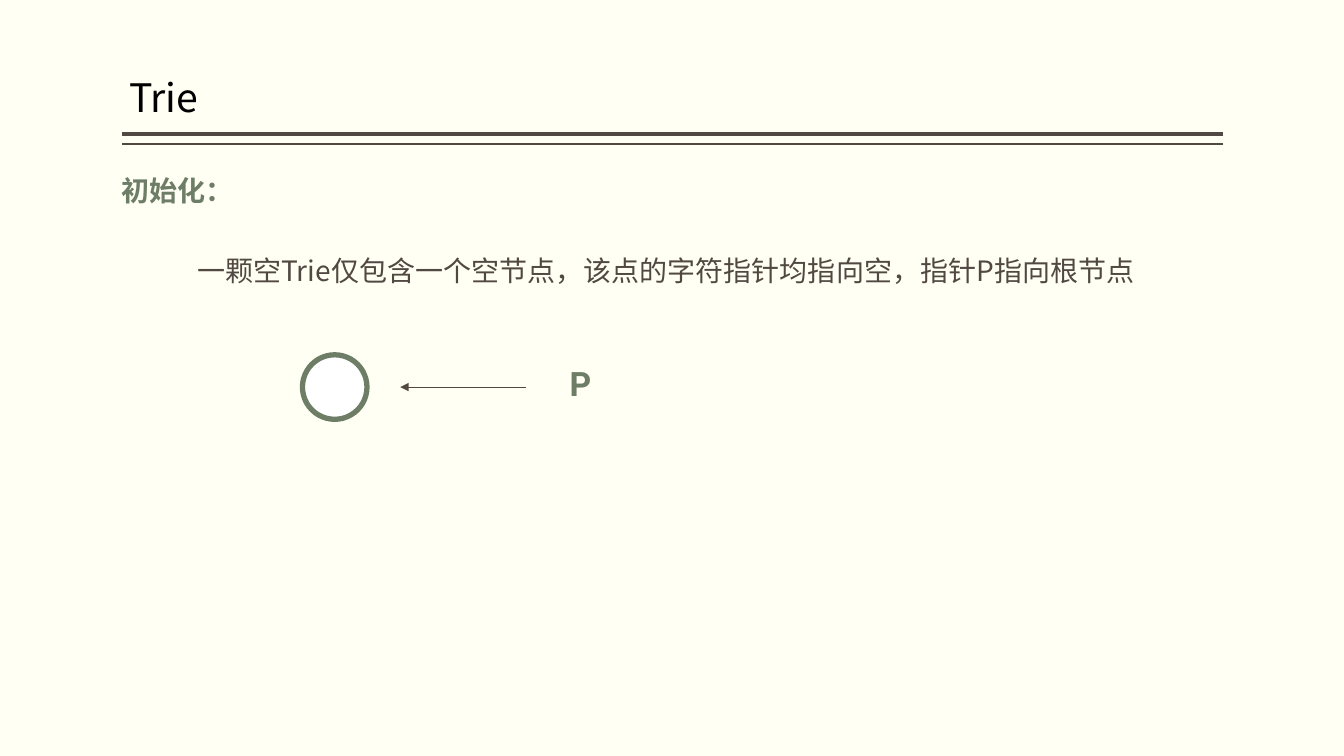
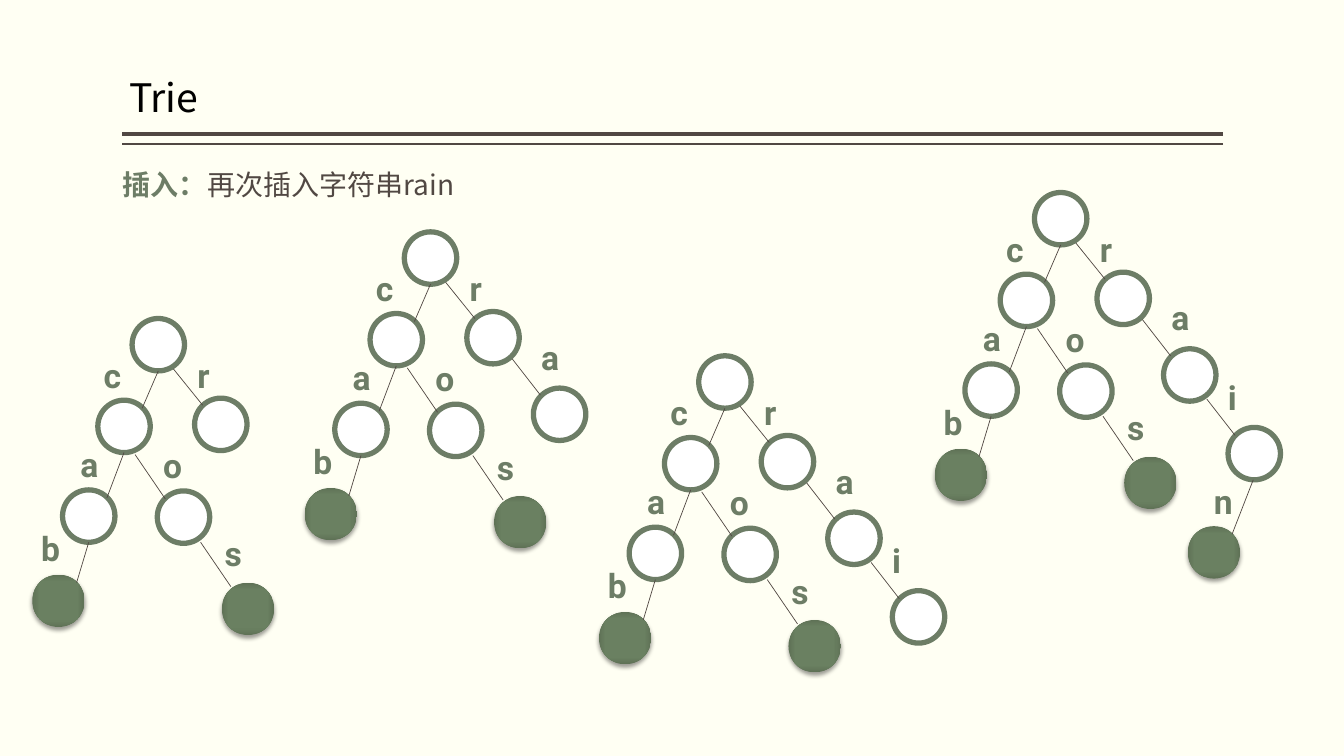
from typing import NamedTuple, Optional

from lxml.etree import SubElement
from pptx import Presentation
from pptx.dml.color import RGBColor
from pptx.enum.shapes import MSO_CONNECTOR, MSO_SHAPE
from pptx.enum.text import MSO_ANCHOR, MSO_AUTO_SIZE, PP_ALIGN
from pptx.oxml import parse_xml
from pptx.oxml.ns import nsdecls, qn
from pptx.util import Inches, Pt

CREAM, WHITE, BLACK = "FFFFF3", "FFFFFF", "000000"
GREEN, BROWN = "6D7D66", "514843"
END_NODE_STOPS = ((0, "6B8162"), (71, "6A8061"), (100, "5F7256"))
CJK_FONT, LATIN_FONT = "Noto Sans CJK SC", "Roboto"
RULE_LEFT, RULE_RIGHT = 1.21, 12.13
NODE_SIZE = 0.52


class Point(NamedTuple):
    x: float
    y: float

    def shifted(self, origin: "Point") -> "Point":
        return Point(self.x + origin.x, self.y + origin.y)


class Span(NamedTuple):
    text: str
    color: str
    bold: bool = False


class Branch(NamedTuple):
    """An edge and the node below it, measured from the root's corner."""
    prefix: str
    node: Point
    label: Point
    start: Point
    end: Point


BRANCHES = (
    Branch("c", Point(-0.34, 0.81), Point(-0.38, 0.31), Point(0.26, 0.52), Point(0.1, 0.89)),
    Branch("ca", Point(-0.69, 1.7), Point(-0.61, 1.19), Point(-0.08, 1.33), Point(-0.25, 1.78)),
    Branch("cab", Point(-0.99, 2.54), Point(-1, 2.03), Point(-0.43, 2.22), Point(-0.55, 2.62)),
    Branch("co", Point(0.25, 1.71), Point(0.21, 1.2), Point(0.03, 1.35), Point(0.33, 1.79)),
    Branch("cos", Point(0.89, 2.62), Point(0.82, 2.08), Point(0.68, 2.22), Point(0.98, 2.66)),
    Branch("r", Point(0.62, 0.79), Point(0.55, 0.31), Point(0.41, 0.5), Point(0.7, 0.86)),
    Branch("ra", Point(1.28, 1.55), Point(1.26, 0.99), Point(1.07, 1.26), Point(1.35, 1.62)),
    Branch("rai", Point(1.92, 2.33), Point(1.82, 1.78), Point(1.71, 2.05), Point(1.99, 2.41)),
    Branch("rain", Point(1.52, 3.31), Point(1.68, 2.81), Point(2.17, 2.85), Point(1.96, 3.39)),
)
WORDS = ("cab", "cos", "rain")
ROOTS = (Point(1.31, 3.16), Point(4.01, 2.3), Point(6.93, 3.53), Point(10.26, 1.91))


def rgb(color: str) -> RGBColor:
    return RGBColor.from_string(color)


def set_font(font, name: str, size: float, color: Optional[str] = None,
             bold: Optional[bool] = None) -> None:
    """Apply one typeface to both Latin and East Asian text."""
    font.name, font.size, font.bold = name, Pt(size), bold
    if color:
        font.color.rgb = rgb(color)
    SubElement(font._rPr, qn("a:ea")).set("typeface", name)


def add_box(shapes, at: Point, width: float, height: float):
    box = shapes.add_textbox(Inches(at.x), Inches(at.y), Inches(width), Inches(height))
    box.text_frame.word_wrap = True
    box.text_frame.auto_size = MSO_AUTO_SIZE.SHAPE_TO_FIT_TEXT
    return box.text_frame.paragraphs[0]


def add_statement(page, at: Point, width: float, spans: tuple[Span, ...],
                  indent: float = 0) -> None:
    para = add_box(page.shapes, at, width, 0.67)
    para.line_spacing = 2.0
    para.space_after = Pt(10)
    if indent:
        para._p.get_or_add_pPr().set("indent", str(Inches(indent)))
    set_font(para.font, CJK_FONT, 20)
    for span in spans:
        run = para.add_run()
        run.text = span.text
        run.font.color.rgb = rgb(span.color)
        run.font.bold = span.bold


def add_letter(shapes, text: str, at: Point, width: float = 0.86) -> None:
    para = add_box(shapes, at, width, 0.5)
    para.text = text
    set_font(para.font, LATIN_FONT, 24, GREEN, True)


def add_line(shapes, start: Point, end: Point, width: float = 0.5, arrow: bool = False) -> None:
    line = shapes.add_connector(MSO_CONNECTOR.STRAIGHT, Inches(start.x), Inches(start.y),
                                Inches(end.x), Inches(end.y))
    line.line.color.rgb = rgb(BROWN)
    line.line.width = Pt(width)
    if arrow:
        SubElement(line.line._get_or_add_ln(), qn("a:tailEnd")).set("type", "triangle")
    SubElement(line._element.spPr, qn("a:effectLst"))


def add_node(shapes, at: Point, size: float = NODE_SIZE, ends_word: bool = False) -> None:
    node = shapes.add_shape(MSO_SHAPE.OVAL, Inches(at.x), Inches(at.y), Inches(size), Inches(size))
    node.shadow.inherit = False
    if ends_word:
        node.line.fill.background()
        shade_end_node(node)
    else:
        node.fill.solid()
        node.fill.fore_color.rgb = rgb(WHITE)
        node.line.color.rgb = rgb(GREEN)
        node.line.width = Pt(3.78)


def shade_end_node(node) -> None:
    """Give a word's last node its gradient and soft shadow."""
    stops = "".join(f'<a:gs pos="{percent * 1000}"><a:srgbClr val="{color}"/></a:gs>'
                    for percent, color in END_NODE_STOPS)
    properties = node._element.spPr
    properties.find(qn("a:prstGeom")).addnext(parse_xml(
        f'<a:gradFill {nsdecls("a")}><a:gsLst>{stops}</a:gsLst><a:path path="rect">'
        '<a:fillToRect l="50000" t="50000" r="50000" b="50000"/></a:path></a:gradFill>'))
    properties.find(qn("a:effectLst")).append(parse_xml(
        f'<a:outerShdw {nsdecls("a")} blurRad="{Pt(3.1)}" dist="{Pt(2)}" dir="5400000" '
        f'rotWithShape="0"><a:srgbClr val="{BLACK}"><a:alpha val="38000"/></a:srgbClr>'
        '</a:outerShdw>'))


def add_tree(page, root: Point, inserted: str) -> None:
    """Draw the trie of cab and cos plus the inserted prefix."""
    shapes = page.shapes.add_group_shape().shapes
    add_node(shapes, root)
    for branch in BRANCHES:
        if branch.prefix.startswith("c") or inserted.startswith(branch.prefix):
            add_node(shapes, branch.node.shifted(root), ends_word=branch.prefix in WORDS)
            add_line(shapes, branch.start.shifted(root), branch.end.shifted(root))
            add_letter(shapes, branch.prefix[-1], branch.label.shifted(root))


def add_page(deck, title: str):
    page = deck.slides.add_slide(deck.slide_layouts.get_by_name("Title Only"))
    for y, width in ((1.33, 3), (1.43, 1)):
        add_line(page.shapes, Point(RULE_RIGHT, y), Point(RULE_LEFT, y), width)
    box = page.shapes.title
    box.left, box.top, box.width, box.height = map(Inches, (1.28, 0.63, 9.83, 0.62))
    frame = box.text_frame
    frame.margin_left = frame.margin_right = 0
    frame.margin_top = frame.margin_bottom = Inches(0.05)
    frame.vertical_anchor = MSO_ANCHOR.BOTTOM
    frame.auto_size = MSO_AUTO_SIZE.NONE
    frame.text = title
    para = frame.paragraphs[0]
    para.alignment = PP_ALIGN.LEFT
    para.line_spacing = 0.9
    set_font(para.font, CJK_FONT, 28, BLACK)
    return page


def build_initialization(deck) -> None:
    page = add_page(deck, "Trie")
    add_statement(page, Point(1.11, 1.34), 10.5, (Span("初始化：", GREEN, True),))
    add_statement(page, Point(1.15, 2.13), 11.04, (
        Span("一颗空Trie仅包含一个空节点，该点的字符指针均指向空，指针P指向根节点", BROWN),), 0.71)
    add_node(page.shapes, Point(3, 3.52), 0.64)
    add_line(page.shapes, Point(5.22, 3.84), Point(3.97, 3.84), arrow=True)
    add_letter(page.shapes, "P", Point(5.55, 3.55), 2.85)


def build_insertion(deck) -> None:
    page = add_page(deck, "Trie")
    add_statement(page, Point(1.12, 1.28), 4.79, (
        Span("插入：", GREEN, True), Span("再次插入字符串rain", BROWN)))
    for count, root in enumerate(ROOTS, start=1):
        add_tree(page, root, "rain"[:count])


def main() -> None:
    deck = Presentation()
    deck.slide_width, deck.slide_height = Inches(13.33), Inches(7.5)
    background = deck.slide_master.background.fill
    background.solid()
    background.fore_color.rgb = rgb(CREAM)
    build_initialization(deck)
    build_insertion(deck)
    deck.save("out.pptx")


if __name__ == "__main__":
    main()
